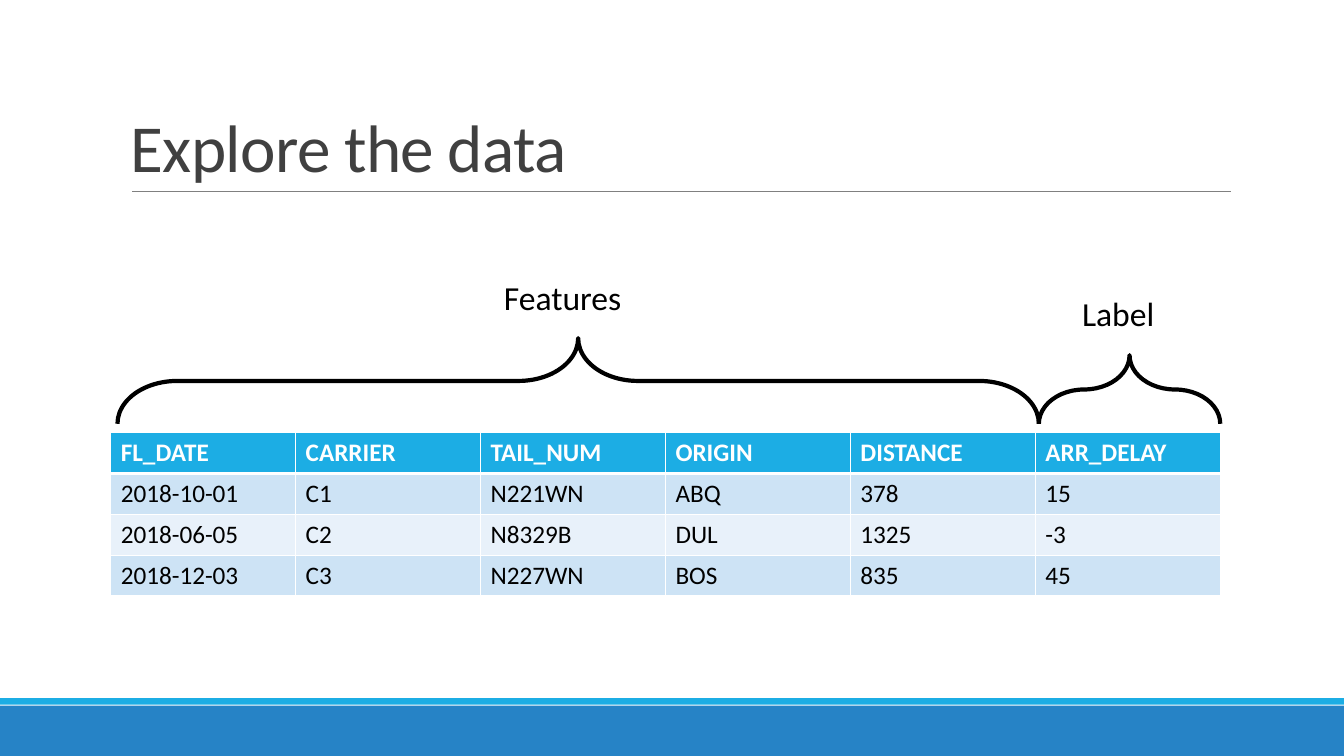
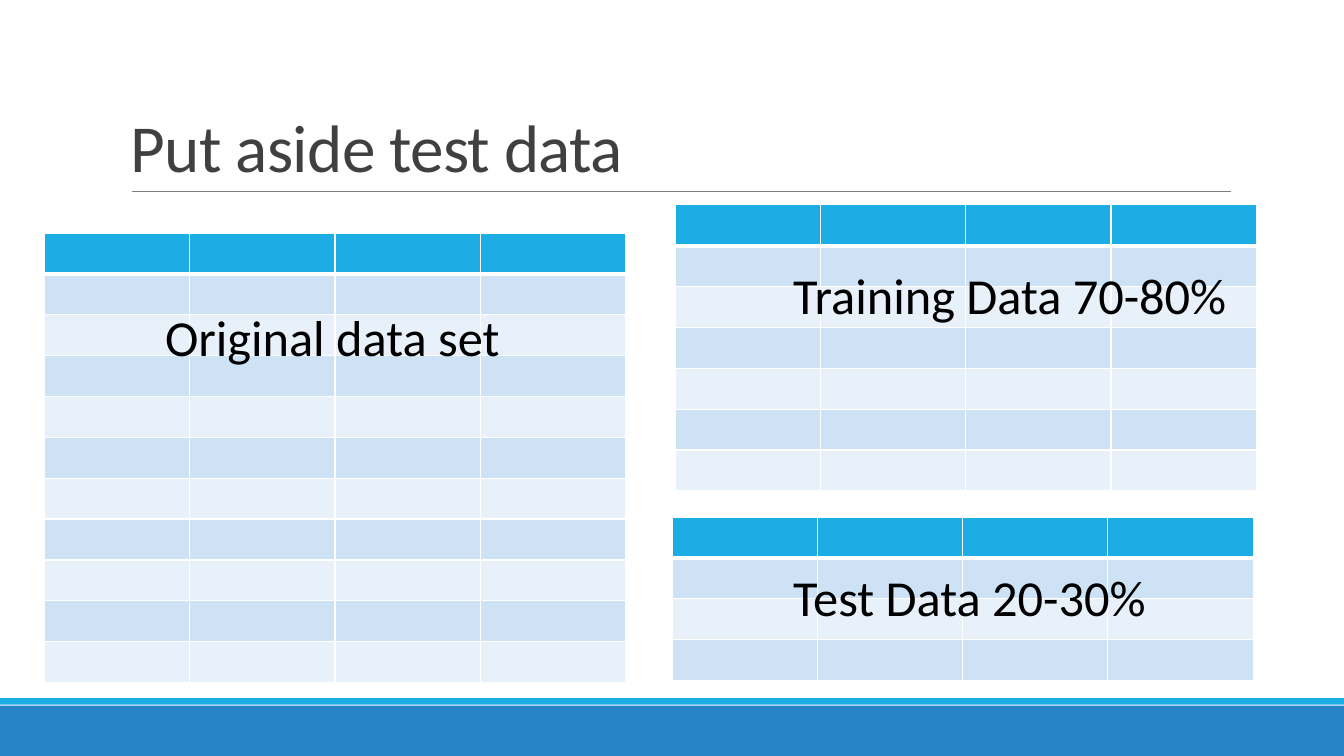
from lxml.etree import SubElement
from pptx import Presentation
from pptx.dml.color import RGBColor
from pptx.enum.shapes import MSO_CONNECTOR, MSO_SHAPE
from pptx.enum.text import MSO_ANCHOR
from pptx.oxml.ns import qn
from pptx.util import Cm, Pt

COLOURS = {
    "band": "2683C6",
    "accent": "1CADE4",
    "rule": "808080",
    "title": "404040",
    "text": "000000",
    "white": "FFFFFF",
    "odd_row": "CDE3F5",
    "even_row": "E8F1FA",
}
FONT = "Calibri"
PAGE_WIDTH, PAGE_HEIGHT = 33.87, 19.05
ROW_HEIGHT = 1.03

TITLE_FORMAT = {"size": Pt(48), "name": FONT}
CAPTION_FORMAT = {"size": Pt(24), "name": FONT}
OVERLAY_FORMAT = {"size": Pt(36), "name": FONT}
HEADER_FORMAT = {"size": Pt(18), "name": FONT, "bold": True}
CELL_FORMAT = {"size": Pt(18), "name": FONT, "bold": False}


def colour(name):
    return RGBColor.from_string(COLOURS[name])


def lengths(box):
    return [Cm(value) for value in box]


def write(para, text, values, colour_name):
    span = para.add_run()
    span.text = text
    for name, value in values.items():
        setattr(span.font, name, value)
    span.font.color.rgb = colour(colour_name)
    return span


def add_text(page, box, text, values, colour_name="text", wrap=True):
    frame = page.shapes.add_textbox(*lengths(box)).text_frame
    frame.word_wrap = wrap
    span = write(frame.paragraphs[0], text, values, colour_name)
    return frame, span


def add_band(page, box, colour_name):
    band = page.shapes.add_shape(MSO_SHAPE.RECTANGLE, *lengths(box))
    band.shadow.inherit = False
    band.fill.solid()
    band.fill.fore_color.rgb = colour(colour_name)
    band.line.fill.background()


def add_rule(page, left, right, height):
    rule = page.shapes.add_connector(
        MSO_CONNECTOR.STRAIGHT, *lengths((left, height, right, height)))
    rule.line.color.rgb = colour("rule")
    rule.line.width = Pt(0.5)
    SubElement(rule.element.spPr, qn("a:effectLst"))


def add_page(deck, title):
    page = deck.slides.add_slide(deck.slide_layouts[6])
    add_band(page, (0, 17.78, PAGE_WIDTH, PAGE_HEIGHT - 17.78), "band")
    add_band(page, (0, 17.59, PAGE_WIDTH, 0.17), "accent")
    add_rule(page, 3.33, 31.01, 4.83)
    frame, span = add_text(page, (3.05, 0.79, 27.94, 4.04), title,
                           TITLE_FORMAT, "title")
    frame.vertical_anchor = MSO_ANCHOR.BOTTOM
    frame.paragraphs[0].line_spacing = 0.85
    span._r.get_or_add_rPr().set("spc", "-50")
    return page


def add_borders(cell, widths):
    properties = cell._tc.get_or_add_tcPr()
    for side, points in widths.items():
        border = SubElement(properties, qn("a:ln" + side), w=str(Pt(points)))
        fill = SubElement(border, qn("a:solidFill"))
        SubElement(fill, qn("a:srgbClr"), val=COLOURS["white"])


def add_data_table(page, left, top, column_width, rows):
    columns = len(rows[0])
    box = (left, top, columns * column_width, len(rows) * ROW_HEIGHT)
    table = page.shapes.add_table(len(rows), columns, *lengths(box)).table
    for column in table.columns:
        column.width = Cm(column_width)
    for row_index, row in enumerate(rows):
        table.rows[row_index].height = Cm(ROW_HEIGHT)
        header = row_index == 0
        row_fill = "accent" if header else ("even_row", "odd_row")[row_index % 2]
        widths = {"L": 1, "R": 1, "T": 3 if row_index == 1 else 1,
                  "B": 3 if header else 1}
        for column_index, text in enumerate(row):
            cell = table.cell(row_index, column_index)
            add_borders(cell, widths)
            cell.fill.solid()
            cell.fill.fore_color.rgb = colour(row_fill)
            if text:
                write(cell.text_frame.paragraphs[0], text,
                      HEADER_FORMAT if header else CELL_FORMAT,
                      "white" if header else "text")


def add_top_brace(page, left, bottom, width, height):
    middle_x, middle_y = left + width / 2, bottom - height / 2
    box = (middle_x - height / 2, middle_y - width / 2, height, width)
    brace = page.shapes.add_shape(MSO_SHAPE.LEFT_BRACE, *lengths(box))
    brace.rotation = 90
    brace.adjustments[0] = 0.696
    brace.adjustments[1] = 0.5
    brace.shadow.inherit = False
    brace.fill.background()
    brace.line.color.rgb = colour("text")
    brace.line.width = Pt(3)


def build_explore_page(deck):
    page = add_page(deck, "Explore the data")
    add_data_table(page, 2.79, 10.9, 4.66, [
        ("FL_DATE", "CARRIER", "TAIL_NUM", "ORIGIN", "DISTANCE", "ARR_DELAY"),
        ("2018-10-01", "C1", "N221WN", "ABQ", "378", "15"),
        ("2018-06-05", "C2", "N8329B", "DUL", "1325", "-3"),
        ("2018-12-03", "C3", "N227WN", "BOS", "835", "45"),
    ])
    left, bottom, features_width = 2.96, 10.68, 23.22
    add_top_brace(page, left, bottom, features_width, 2.16)
    add_top_brace(page, left + features_width, bottom, 4.57, 1.73)
    add_text(page, (27.02, 7.26, 3.08, 1.27), "Label", CAPTION_FORMAT)
    add_text(page, (12.45, 6.86, 5.99, 1.27), "Features", CAPTION_FORMAT)


def build_split_page(deck):
    page = add_page(deck, "Put aside test data")
    for left, top, row_count in ((1.12, 5.87, 11), (17.02, 5.16, 7),
                                 (16.94, 13.03, 4)):
        add_data_table(page, left, top, 3.66, [("",) * 4] * row_count)
    for left, top, width, text in (
            (3.91, 7.59, 9.02, "Original data set"),
            (19.74, 6.53, 11.53, "Training Data 70-80%"),
            (19.74, 14.15, 9.47, "Test Data 20-30%")):
        add_text(page, (left, top, width, 1.8), text, OVERLAY_FORMAT, wrap=False)


def main():
    deck = Presentation()
    deck.slide_width, deck.slide_height = Cm(PAGE_WIDTH), Cm(PAGE_HEIGHT)
    build_explore_page(deck)
    build_split_page(deck)
    deck.save("out.pptx")


main()
